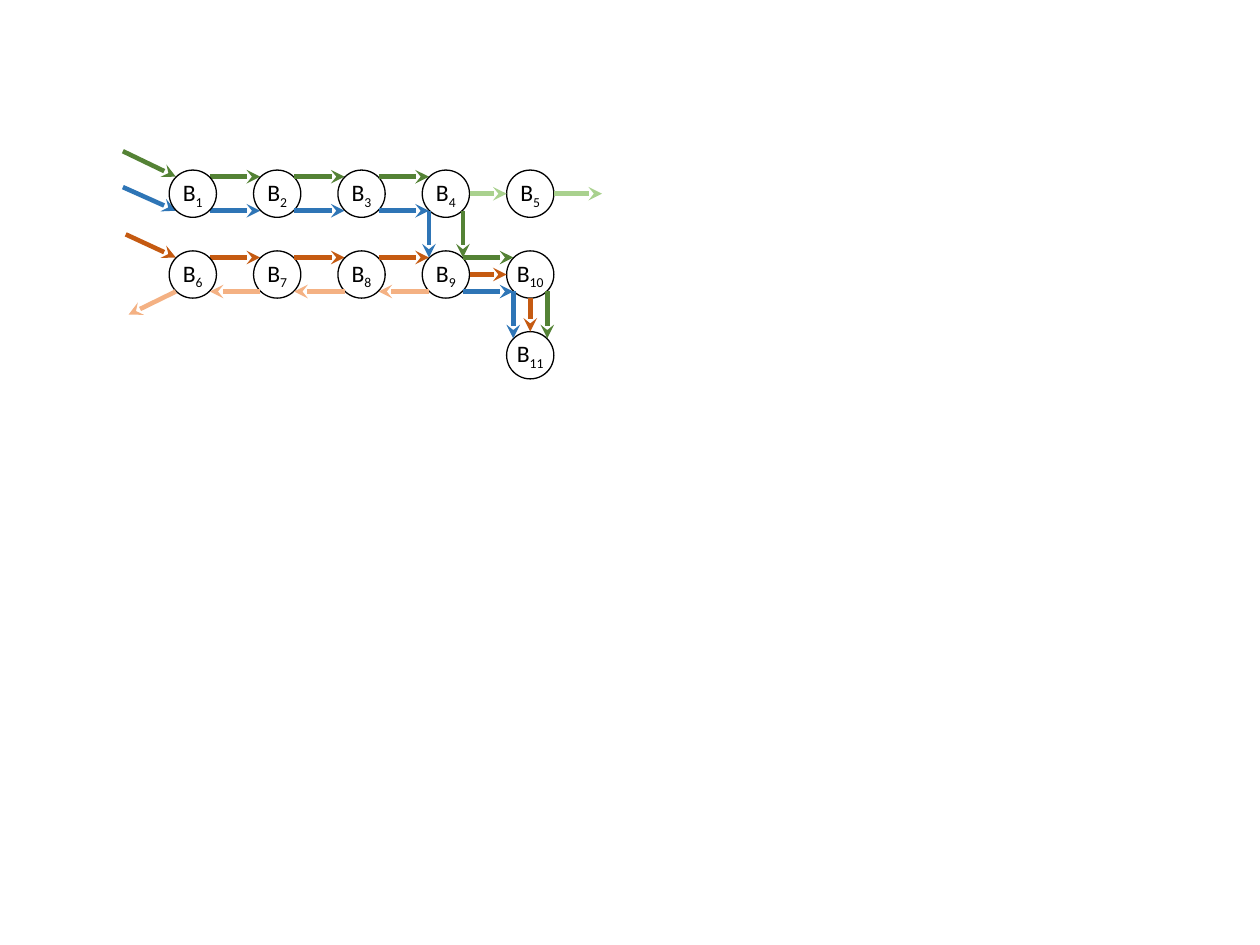
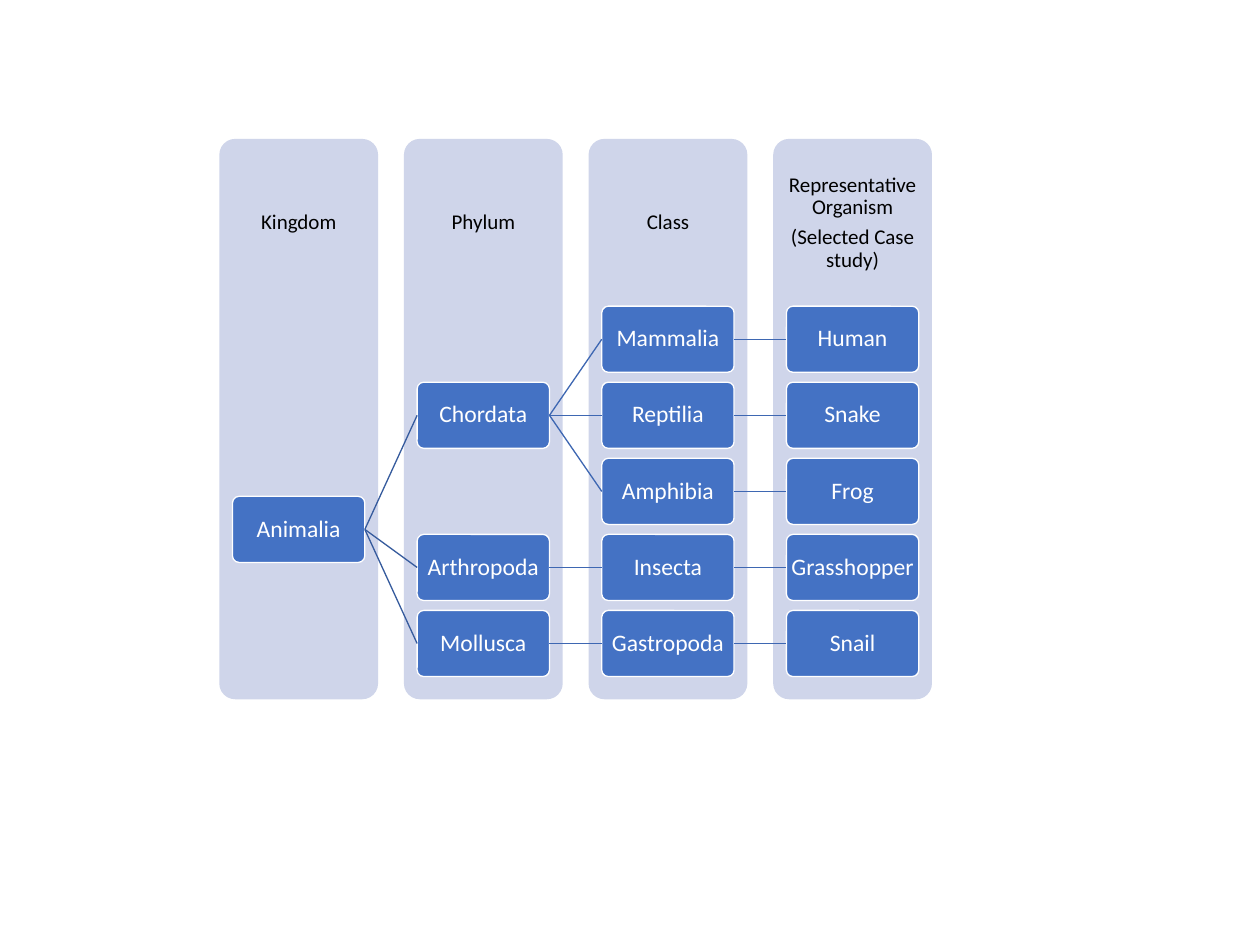
"""Build two diagram slides: a network of numbered nodes and an animal taxonomy."""
from lxml import etree
from pptx import Presentation
from pptx.dml.color import RGBColor
from pptx.enum import shapes, text
from pptx.oxml import ns
from pptx.util import Inches, Pt

FONT = "Calibri"
BLACK = RGBColor(0x00, 0x00, 0x00)
WHITE = RGBColor(0xFF, 0xFF, 0xFF)
GREEN = RGBColor(0x54, 0x82, 0x35)
LIGHT_GREEN = RGBColor(0xA9, 0xD1, 0x8E)
BLUE = RGBColor(0x2E, 0x75, 0xB6)
ORANGE = RGBColor(0xC5, 0x5A, 0x11)
LIGHT_ORANGE = RGBColor(0xF4, 0xB1, 0x83)
PANEL = RGBColor(0xCF, 0xD5, 0xEA)
BOX = RGBColor(0x44, 0x72, 0xC4)
KINGDOM_LINK = RGBColor(0x36, 0x5B, 0x9D)
LINK = RGBColor(0x3E, 0x67, 0xB2)

NODE_SIZE = 0.5
NODE_X, NODE_Y = 2.04, 2.05
NODE_STEP_X, NODE_STEP_Y = 3.57 / 4, 1.71 / 2
NODE_CELLS = {n: ((n - 1) % 5, (n - 1) // 5) for n in range(1, 11)} | {11: (4, 2)}
DIAGONAL = 0.18
PORTS = {
    "NW": (-DIAGONAL, -DIAGONAL), "NE": (DIAGONAL, -DIAGONAL),
    "SW": (-DIAGONAL, DIAGONAL), "SE": (DIAGONAL, DIAGONAL),
    "N": (0, -NODE_SIZE / 2), "S": (0, NODE_SIZE / 2),
    "W": (-NODE_SIZE / 2, 0), "E": (NODE_SIZE / 2, 0),
}

# Back to front: a number is a node, a tuple is an arrow between ports or points.
NETWORK = [
    (GREEN, (1.3, 1.6), (1, "NW")),
    (BLUE, (1.3, 1.98), (1, "SW")),
    (GREEN, (1, "NE"), (2, "NW")),
    (BLUE, (1, "SE"), (2, "SW")),
    1, 2,
    (GREEN, (2, "NE"), (3, "NW")),
    (BLUE, (2, "SE"), (3, "SW")),
    3,
    (GREEN, (3, "NE"), (4, "NW")),
    4, 5,
    (BLUE, (3, "SE"), (4, "SW")),
    (LIGHT_GREEN, (5, "E"), (6.37, 2.05)),
    (ORANGE, (1.33, 2.48), (6, "NW")),
    (ORANGE, (6, "NE"), (7, "NW")),
    6, 7,
    (ORANGE, (7, "NE"), (8, "NW")),
    8,
    (LIGHT_ORANGE, (6, "SW"), (1.36, 3.33)),
    (LIGHT_ORANGE, (7, "SW"), (6, "SE")),
    (LIGHT_ORANGE, (8, "SW"), (7, "SE")),
    9,
    (ORANGE, (8, "NE"), (9, "NW")),
    (LIGHT_ORANGE, (9, "SW"), (8, "SE")),
    (LIGHT_GREEN, (4, "E"), (5, "W")),
    (GREEN, (4, "SE"), (9, "NE")),
    (BLUE, (4, "SW"), (9, "NW")),
    10,
    (GREEN, (9, "NE"), (10, "NW")),
    (ORANGE, (9, "E"), (10, "W")),
    (BLUE, (9, "SE"), (10, "SW")),
    11,
    (GREEN, (10, "SE"), (11, "NE")),
    (ORANGE, (10, "S"), (11, "N")),
    (BLUE, (10, "SW"), (11, "NW")),
]

PANEL_X, PANEL_Y, PANEL_STEP = 2.32, 1.47, 5.86 / 3
PANEL_WIDTH, PANEL_HEIGHT, HEADING_HEIGHT = 1.68, 5.93, 1.78
BOX_INDENT, BOX_WIDTH, BOX_HEIGHT = 0.14, 1.4, 0.7
BOX_Y, BOX_STEP = 3.24, 3.22 / 4
RANKS = [["Kingdom"], ["Phylum"], ["Class"],
         ["Representative Organism", "(Selected Case study)"]]
TAXA = [
    ("Animalia", 0, 2.5, None),
    ("Chordata", 1, 1, "Animalia"),
    ("Mammalia", 2, 0, "Chordata"),
    ("Human", 3, 0, "Mammalia"),
    ("Reptilia", 2, 1, "Chordata"),
    ("Snake", 3, 1, "Reptilia"),
    ("Amphibia", 2, 2, "Chordata"),
    ("Frog", 3, 2, "Amphibia"),
    ("Arthropoda", 1, 3, "Animalia"),
    ("Insecta", 2, 3, "Arthropoda"),
    ("Grasshopper", 3, 3, "Insecta"),
    ("Mollusca", 1, 4, "Animalia"),
    ("Gastropoda", 2, 4, "Mollusca"),
    ("Snail", 3, 4, "Gastropoda"),
]


def inches(*lengths):
    """Convert several lengths at once."""
    return [Inches(length) for length in lengths]


def prepare_frame(shape, inset):
    """Centre the text vertically, wrap it and set equal insets."""
    frame = shape.text_frame
    frame.word_wrap = True
    frame.vertical_anchor = text.MSO_ANCHOR.MIDDLE
    frame.margin_left = frame.margin_right = Inches(inset)
    frame.margin_top = frame.margin_bottom = Inches(inset)
    return frame


def add_span(para, words, size, colour):
    """Add one formatted run to a centred paragraph."""
    para.alignment = text.PP_ALIGN.CENTER
    span = para.add_run()
    span.text = words
    span.font.name = FONT
    span.font.size = Pt(size)
    span.font.color.rgb = colour
    return span


def add_filled(page, kind, bounds, fill, line=None):
    """Add a flat preset shape, outlined only if a line colour is given."""
    shape = page.shapes.add_shape(kind, *inches(*bounds))
    shape.shadow.inherit = False
    shape.fill.solid()
    shape.fill.fore_color.rgb = fill
    if line is None:
        shape.line.fill.background()
    else:
        shape.line.color.rgb = line
        shape.line.width = Pt(1)
    return shape


def add_rounded(page, bounds, fill, line=None):
    """Add a rectangle with slightly rounded corners."""
    shape = add_filled(page, shapes.MSO_SHAPE.ROUNDED_RECTANGLE, bounds, fill, line)
    shape.adjustments[0] = 0.1
    return shape


def add_line(page, start, end, colour, width):
    """Add a straight connector without a shadow."""
    line = page.shapes.add_connector(
        shapes.MSO_CONNECTOR.STRAIGHT, *inches(*start, *end))
    line.line.color.rgb = colour
    line.line.width = Pt(width)
    etree.SubElement(line._element.spPr, ns.qn("a:effectLst"))
    return line


def node_centre(number):
    """Return the centre of a numbered node."""
    column, row = NODE_CELLS[number]
    return NODE_X + column * NODE_STEP_X, NODE_Y + row * NODE_STEP_Y


def locate(place):
    """Turn a (node, port) pair into a point; leave a point as it is."""
    if place[1] not in PORTS:
        return place
    (x, y), (dx, dy) = node_centre(place[0]), PORTS[place[1]]
    return x + dx, y + dy


def add_arrow(page, colour, start, end):
    """Add a thick arrow with a stealth head."""
    arrow = add_line(page, locate(start), locate(end), colour, 3.5)
    etree.SubElement(arrow.line._get_or_add_ln(), ns.qn("a:tailEnd"), type="stealth")


def add_node(page, number):
    """Add a circle labelled B with the number as subscript."""
    x, y = node_centre(number)
    bounds = (x - NODE_SIZE / 2, y - NODE_SIZE / 2, NODE_SIZE, NODE_SIZE)
    circle = add_filled(page, shapes.MSO_SHAPE.OVAL, bounds, WHITE, BLACK)
    para = prepare_frame(circle, 0).paragraphs[0]
    add_span(para, "B", 18, BLACK)
    index = add_span(para, str(number), 18, BLACK)
    index.font._element.set("baseline", "-25000")


def add_rank(page, column, lines):
    """Add a column panel with its heading."""
    x = PANEL_X + column * PANEL_STEP
    add_rounded(page, (x, PANEL_Y, PANEL_WIDTH, PANEL_HEIGHT), PANEL)
    heading = page.shapes.add_textbox(
        *inches(x, PANEL_Y, PANEL_WIDTH, HEADING_HEIGHT))
    frame = prepare_frame(heading, 0.12)
    for position, words in enumerate(lines):
        para = frame.add_paragraph() if position else frame.paragraphs[0]
        para.line_spacing = 0.9
        para.space_after = Pt(5.6)
        add_span(para, words, 16, BLACK)


def add_taxon(page, name, column, row):
    """Add the box of one taxon."""
    x = PANEL_X + BOX_INDENT + column * PANEL_STEP
    y = BOX_Y + row * BOX_STEP
    box = add_rounded(page, (x, y, BOX_WIDTH, BOX_HEIGHT), BOX, WHITE)
    para = prepare_frame(box, 0.03).paragraphs[0]
    para.line_spacing = 0.9
    add_span(para, name, 18, WHITE)
    return box


def add_link(page, parent, child, colour):
    """Join the right side of a parent to the left side of its child."""
    link = add_line(page, (0, 0), (1, 1), colour, 1)
    link.begin_connect(parent, 3)
    link.end_connect(child, 1)


def build_network(page):
    """Draw the nodes and arrows."""
    for item in NETWORK:
        if isinstance(item, int):
            add_node(page, item)
        else:
            add_arrow(page, *item)


def build_taxonomy(page):
    """Draw the rank panels and the tree across them."""
    for column, lines in enumerate(RANKS):
        add_rank(page, column, lines)
    boxes = {}
    for name, column, row, parent in TAXA:
        boxes[name] = add_taxon(page, name, column, row)
        if parent:
            colour = KINGDOM_LINK if column == 1 else LINK
            add_link(page, boxes[parent], boxes[name], colour)


def main():
    """Build and save the deck."""
    deck = Presentation()
    deck.slide_width, deck.slide_height = inches(13.33, 10)
    for build in (build_network, build_taxonomy):
        build(deck.slides.add_slide(deck.slide_layouts[6]))
    deck.save("out.pptx")


if __name__ == "__main__":
    main()
